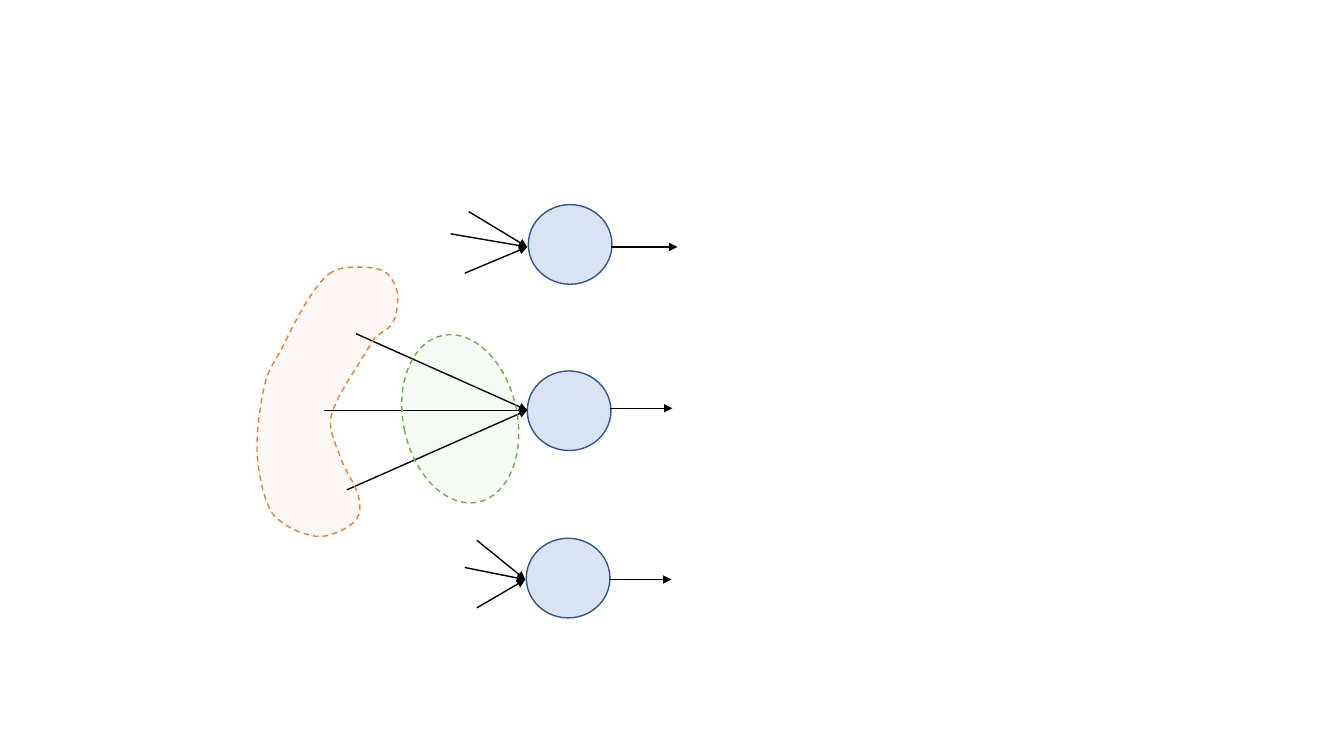
from lxml import etree
from pptx import Presentation
from pptx.dml.color import RGBColor
from pptx.enum.dml import MSO_LINE
from pptx.enum.shapes import MSO_CONNECTOR, MSO_SHAPE
from pptx.oxml.ns import qn
from pptx.util import Inches, Pt

OVAL = MSO_SHAPE.OVAL
STRAIGHT = MSO_CONNECTOR.STRAIGHT
DASH = MSO_LINE.DASH

BLACK = RGBColor(0x00, 0x00, 0x00)
PALE = RGBColor(0xDA, 0xE3, 0xF3)
BLUE = RGBColor(0x32, 0x54, 0x91)
GREEN = RGBColor(0x70, 0xAD, 0x47)
ORANGE = RGBColor(0xED, 0x7D, 0x31)

# Left and top of each neuron
NEURONS = [(5.23, 3.68), (5.22, 5.34), (5.24, 2.03)]

# Each fan: tip of the inputs, their starts, then both ends of the output
MIDDLE = ((5.23, 4.07), [(3.53, 3.31), (3.21, 4.07), (3.44, 4.86)],
          (6.05, 4.05), (6.67, 4.05))
UPPER = ((5.23, 2.45), [(4.65, 2.1), (4.47, 2.32), (4.61, 2.71)],
         (6.06, 2.45), (6.72, 2.45))
LOWER = ((5.21, 5.75), [(4.73, 5.36), (4.61, 5.63), (4.73, 6.03)],
         (6.05, 5.75), (6.66, 5.75))

# Input region: a start point, then two handles and an end per curve
START = (3.29, 2.7)
CURVES = [
    ((3.21, 2.75), (3.16, 2.82), (3.07, 2.95)),
    ((2.99, 3.07), (2.87, 3.3), (2.8, 3.45)),
    ((2.72, 3.6), (2.66, 3.66), (2.62, 3.84)),
    ((2.58, 4.02), (2.54, 4.3), (2.55, 4.51)),
    ((2.57, 4.72), (2.61, 4.95), (2.7, 5.09)),
    ((2.8, 5.22), (2.99, 5.3), (3.13, 5.32)),
    ((3.26, 5.34), (3.43, 5.25), (3.5, 5.19)),
    ((3.57, 5.13), (3.58, 5.05), (3.56, 4.95)),
    ((3.55, 4.85), (3.45, 4.71), (3.4, 4.6)),
    ((3.36, 4.48), (3.29, 4.34), (3.28, 4.23)),
    ((3.27, 4.13), (3.3, 4.07), (3.35, 3.96)),
    ((3.4, 3.85), (3.51, 3.69), (3.57, 3.59)),
    ((3.64, 3.48), (3.67, 3.42), (3.72, 3.35)),
    ((3.78, 3.29), (3.87, 3.27), (3.9, 3.19)),
    ((3.94, 3.12), (3.95, 2.99), (3.94, 2.9)),
    ((3.92, 2.82), (3.88, 2.74), (3.82, 2.7)),
    ((3.76, 2.66), (3.65, 2.65), (3.56, 2.65)),
    ((3.48, 2.65), (3.37, 2.65), START),
]


def paint(shape, fill, line):
    shape.shadow.inherit = False
    shape.fill.solid()
    shape.fill.fore_color.rgb = fill
    shape.line.color.rgb = line
    shape.line.width = Pt(1)


def paint_zone(shape, color, alpha):
    """Dashed outline with a nearly clear fill; alpha is in percent."""
    paint(shape, color, color)
    shape.line.dash_style = DASH
    tint = shape.fill._xPr.find(qn("a:solidFill"))[0]
    etree.SubElement(tint, qn("a:alpha"), val=str(alpha * 1000))


def add_oval(slide, left, top, width, height):
    return slide.shapes.add_shape(OVAL, Inches(left), Inches(top),
                                  Inches(width), Inches(height))


def add_arrow(slide, start, end):
    ends = [Inches(v) for v in (*start, *end)]
    arrow = slide.shapes.add_connector(STRAIGHT, *ends)
    arrow.line.color.rgb = BLACK
    arrow.line.width = Pt(1)
    line = arrow.line._get_or_add_ln()
    etree.SubElement(line, qn("a:tailEnd"), type="triangle")
    etree.SubElement(arrow._element.spPr, qn("a:effectLst"))


def add_fan(slide, tip, starts, out, end):
    for start in starts:
        add_arrow(slide, start, tip)
    add_arrow(slide, out, end)


def add_region(slide):
    pen = slide.shapes.build_freeform(*map(Inches, START))
    ends = [tuple(map(Inches, curve[-1])) for curve in CURVES]
    pen.add_line_segments(ends, close=True)
    shape = pen.convert_to_shape()

    # Bend each straight side by giving it its two handles
    sides = list(shape._element.iter(qn("a:lnTo")))
    for side, handles in zip(sides, CURVES):
        side.tag = qn("a:cubicBezTo")
        for spot, (x, y) in enumerate(handles[:2]):
            point = etree.Element(qn("a:pt"),
                                  x=str(Inches(x) - shape.left),
                                  y=str(Inches(y) - shape.top))
            side.insert(spot, point)
    paint_zone(shape, ORANGE, 4)


def main():
    prs = Presentation()
    prs.slide_width = Inches(13.33)
    prs.slide_height = Inches(7.5)
    slide = prs.slides.add_slide(prs.slide_layouts[6])

    # Neurons
    for left, top in NEURONS:
        paint(add_oval(slide, left, top, 0.83, 0.79), PALE, BLUE)

    # Middle neuron's arrows, under the two zones
    add_fan(slide, *MIDDLE)

    # Weight zone and input region
    zone = add_oval(slide, 4, 3.31, 1.13, 1.69)
    zone.rotation = 347.7
    paint_zone(zone, GREEN, 5)
    add_region(slide)

    # Outer neurons' arrows
    for fan in (UPPER, LOWER):
        add_fan(slide, *fan)

    prs.save("out.pptx")


if __name__ == "__main__":
    main()
